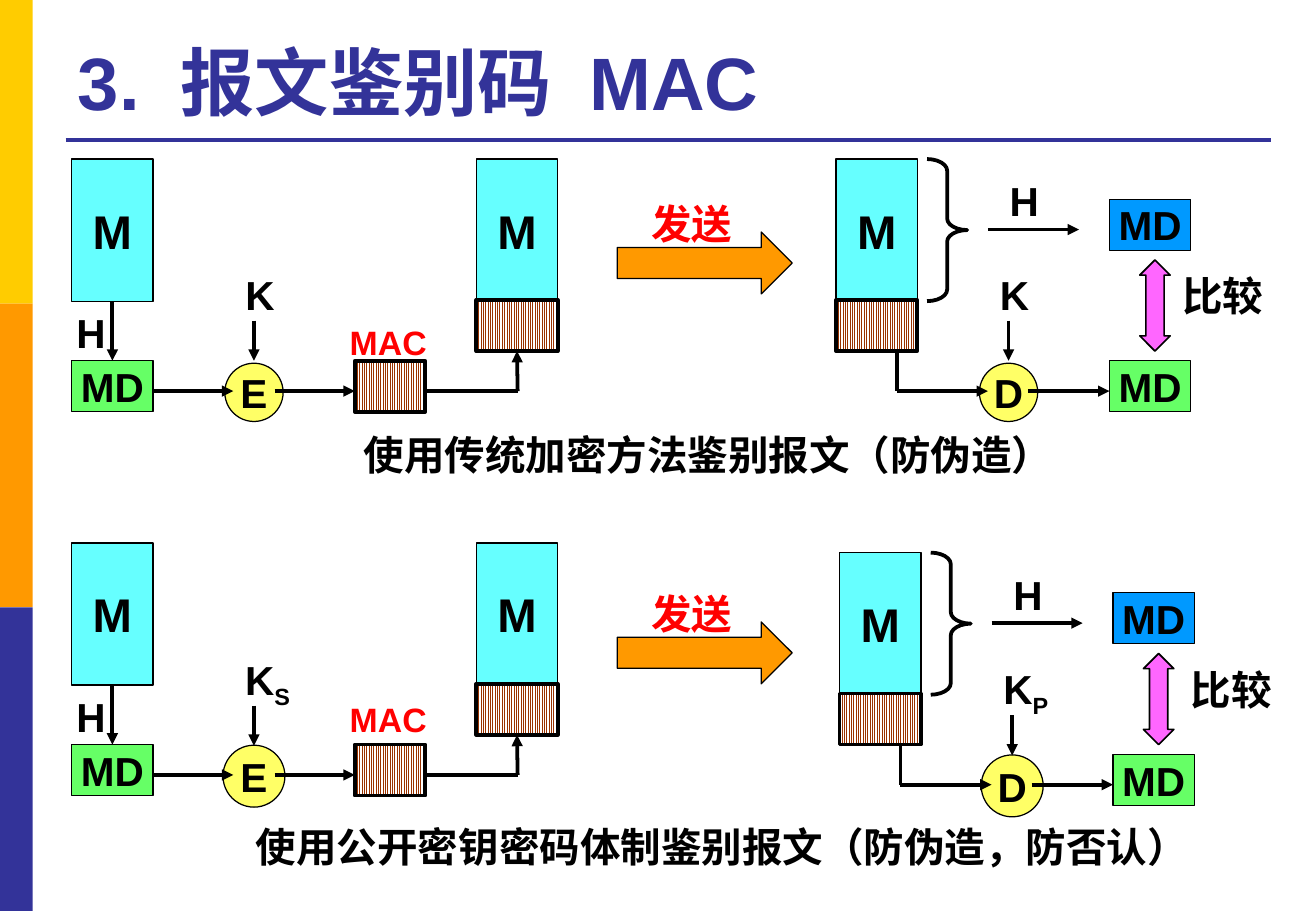
import pptx
import pptx.dml.color
import pptx.enum.dml
import pptx.enum.shapes
import pptx.enum.text
import pptx.oxml.ns
import pptx.util
from lxml import etree

Inches, Pt = pptx.util.Inches, pptx.util.Pt
RGBColor = pptx.dml.color.RGBColor
SHAPE = pptx.enum.shapes.MSO_SHAPE
ALIGN = pptx.enum.text.PP_ALIGN
ANCHOR = pptx.enum.text.MSO_ANCHOR
qn = pptx.oxml.ns.qn

BLACK = RGBColor(0, 0, 0)
WHITE = RGBColor(0xFF, 0xFF, 0xFF)
RED = RGBColor(0xFF, 0, 0)
NAVY = RGBColor(0x33, 0x33, 0x99)
GOLD = RGBColor(0xFF, 0xCC, 0)
ORANGE = RGBColor(0xFF, 0x99, 0)
CYAN = RGBColor(0x66, 0xFF, 0xFF)
GREEN = RGBColor(0x66, 0xFF, 0x66)
BLUE = RGBColor(0, 0x99, 0xFF)
YELLOW = RGBColor(0xFF, 0xFF, 0x66)
PINK = RGBColor(0xFF, 0x66, 0xFF)
BROWN = RGBColor(0x99, 0x33, 0)

presentation = pptx.Presentation()
presentation.slide_width = Inches(10.83)
presentation.slide_height = Inches(7.5)
slide = presentation.slides.add_slide(presentation.slide_layouts[5])


def add_item(geometry, at, fill=None, line=0.75, text="", subscript="",
             size=24, color=BLACK, align=ALIGN.CENTER, adjustments=()):
    """Add a shape, or a text box if geometry is None; BROWN gives the striped MAC fill."""
    box = [Inches(value) for value in at]
    if geometry is None:
        shape = slide.shapes.add_textbox(*box)
    else:
        shape = slide.shapes.add_shape(geometry, *box)
        shape.shadow.inherit = False
        if fill == BROWN:
            shape.fill.patterned()
            shape.fill.pattern = pptx.enum.dml.MSO_PATTERN.LIGHT_VERTICAL
            shape.fill.fore_color.rgb = BROWN
            shape.fill.back_color.rgb = WHITE
        elif fill is None:
            shape.fill.background()
        else:
            shape.fill.solid()
            shape.fill.fore_color.rgb = fill
        if line:
            shape.line.color.rgb = BLACK
            shape.line.width = Pt(line)
        else:
            shape.line.fill.background()
        for index, value in enumerate(adjustments):
            shape.adjustments[index] = value
        shape.text_frame.vertical_anchor = ANCHOR.MIDDLE
    if text:
        shape.text_frame.word_wrap = False
        paragraph = shape.text_frame.paragraphs[0]
        paragraph.alignment = align
        for content, baseline in ((text, "0"), (subscript, "-25000")):
            if content:
                run = paragraph.add_run()
                run.text = content
                for name, value in {"name": "Arial", "size": Pt(size), "bold": True}.items():
                    setattr(run.font, name, value)
                run.font.color.rgb = color
                run._r.get_or_add_rPr().set("baseline", baseline)
    return shape


def add_line(start, end, color=BLACK, arrow=True):
    connector = slide.shapes.add_connector(
        pptx.enum.shapes.MSO_CONNECTOR.STRAIGHT, *[Inches(value) for value in start + end])
    connector.line.color.rgb = color
    connector.line.width = Pt(2.25)
    properties = connector._element.spPr
    if arrow:
        etree.SubElement(properties.find(qn("a:ln")), qn("a:tailEnd"), type="triangle")
    etree.SubElement(properties, qn("a:effectLst"))
    return connector


# Side bars, title and rule
for row, color in enumerate((GOLD, ORANGE, NAVY)):
    add_item(SHAPE.RECTANGLE, (0, 2.5 * row, 0.27, 2.5), color, line=0)
add_line((0.54, 1.15), (10.46, 1.15), NAVY, arrow=False)

title = slide.shapes.title
title_format = {"left": 0.54, "top": 0.21, "width": 9.91, "height": 0.87}
for name, value in title_format.items():
    setattr(title, name, Inches(value))
title.text_frame.vertical_anchor = ANCHOR.BOTTOM
title.text_frame.auto_size = pptx.enum.text.MSO_AUTO_SIZE.NONE
paragraph = title.text_frame.paragraphs[0]
paragraph.alignment = ALIGN.LEFT
for piece in ("3.", " ", "报文鉴别码", " ", "MAC"):
    run = paragraph.add_run()
    run.text = piece
    for name, value in {"name": "Arial", "size": Pt(44), "bold": True}.items():
        setattr(run.font, name, value)
    run.font.color.rgb = NAVY
    if piece == " ":
        run._r.get_or_add_rPr().set("spc", "1200")

# Each scheme is the same diagram; the numbers are offsets from the upper one
schemes = [
    {"caption": "使用传统加密方法鉴别报文（防伪造）", "caption_at": (2.85, 3.49, 5.95, 0.5),
     "sender": 0, "transit": 0, "receiver": (0, 0), "keys": ("", ""), "key_drop": 0,
     "key_width": 0.45, "mac": 2.6, "compare": (9.63, 2.18), "circle": 0.48},
    {"caption": "使用公开密钥密码体制鉴别报文（防伪造，防否认）", "caption_at": (1.95, 6.72, 7.98, 0.5),
     "sender": 3.16, "transit": 3.21, "receiver": (0.03, 3.24), "keys": ("S", "P"), "key_drop": 0.01,
     "key_width": 0.6, "mac": 5.7, "compare": (9.7, 5.43), "circle": 0.51},
]
for scheme in schemes:
    add_item(None, scheme["caption_at"], text=scheme["caption"])
    diameter = scheme["circle"]
    down = scheme["sender"]
    right, receiver_down = scheme["receiver"]

    # Message with its MAC, cipher circle and key on both sides
    sides = (
        (0, down, 3.92, 2.09, "E", scheme["keys"][0]),
        (right, receiver_down, 6.88, 8.3, "D", scheme["keys"][1]),
    )
    for x, y, message_left, circle_x, cipher, key in sides:
        add_item(SHAPE.RECTANGLE, (message_left + x, 1.31 + y, 0.67, 1.17), CYAN, text="M", size=28)
        attached_mac = add_item(SHAPE.RECTANGLE, (message_left + x, 2.47 + y, 0.67, 0.42), BROWN, 2.25)
        if cipher == "E":
            sent_mac = attached_mac
        add_item(SHAPE.OVAL, (circle_x + x - diameter / 2, 3.23 + y - diameter / 2, diameter, diameter),
                 YELLOW, text=cipher)
        key_y = y + scheme["key_drop"]
        add_item(None, (circle_x + x - 0.17, 2.17 + key_y, scheme["key_width"], 0.51),
                 text="K", subscript=key, align=ALIGN.LEFT)
        add_line((circle_x + x, 2.64 + key_y), (circle_x + x, 2.97 + key_y))

    # Sender
    message = add_item(SHAPE.RECTANGLE, (0.59, 1.31 + down, 0.67, 1.17), CYAN, text="M", size=28)
    digest = add_item(SHAPE.RECTANGLE, (0.59, 2.97 + down, 0.67, 0.42), GREEN, text="MD")
    hashing = add_line((0.92, 2.47 + down), (0.92, 2.97 + down))
    hashing.begin_connect(message, 2)
    hashing.end_connect(digest, 0)
    add_item(None, (0.53, 2.49 + down, 0.45, 0.51), text="H", align=ALIGN.LEFT)
    add_item(SHAPE.RECTANGLE, (2.92, 2.97 + down, 0.58, 0.42), BROWN, 2.25)
    add_item(None, (2.78, scheme["mac"], 0.84, 0.44), text="MAC", size=20, color=RED, align=ALIGN.LEFT)
    flow = 3.22 + down
    for start, end, arrow in ((1.26, 1.92, True), (2.26, 2.92, True), (3.51, 4.26, False)):
        add_line((start, flow), (end, flow), arrow=arrow)
    attaching = add_line((4.26, flow), (4.26, 2.89 + down))
    attaching.end_connect(sent_mac, 2)

    # Sending
    add_item(SHAPE.RIGHT_ARROW, (5.08, 1.91 + scheme["transit"], 1.44, 0.51), ORANGE)
    add_item(None, (5.26, 1.59 + scheme["transit"], 0.88, 0.5), text="发送", color=RED, align=ALIGN.LEFT)

    # Receiver
    for top, color in ((1.64, BLUE), (2.97, GREEN)):
        add_item(SHAPE.RECTANGLE, (9.13 + right, top + receiver_down, 0.67, 0.42), color, text="MD")
    add_item(SHAPE.RIGHT_BRACE, (7.63 + right, 1.31 + receiver_down, 0.33, 1.17), line=2.25,
             adjustments=(0.29, 0.5))
    add_item(None, (8.21 + right, 1.4 + receiver_down, 0.45, 0.51), text="H", align=ALIGN.LEFT)
    add_item(SHAPE.UP_DOWN_ARROW, (9.38 + right, 2.14 + receiver_down, 0.25, 0.75), PINK, 1,
             adjustments=(0.5, 0.6))
    add_item(None, scheme["compare"] + (0.88, 0.5), text="比较", align=ALIGN.LEFT)
    receiver_lines = (
        (7.38, 2.89, 7.38, 3.22, False),
        (7.38, 3.22, 8.13, 3.22, True),
        (8.46, 3.22, 9.13, 3.22, True),
        (8.13, 1.89, 8.88, 1.89, True),
    )
    for x1, y1, x2, y2, arrow in receiver_lines:
        add_line((x1 + right, y1 + receiver_down), (x2 + right, y2 + receiver_down), arrow=arrow)

presentation.save("out.pptx")
